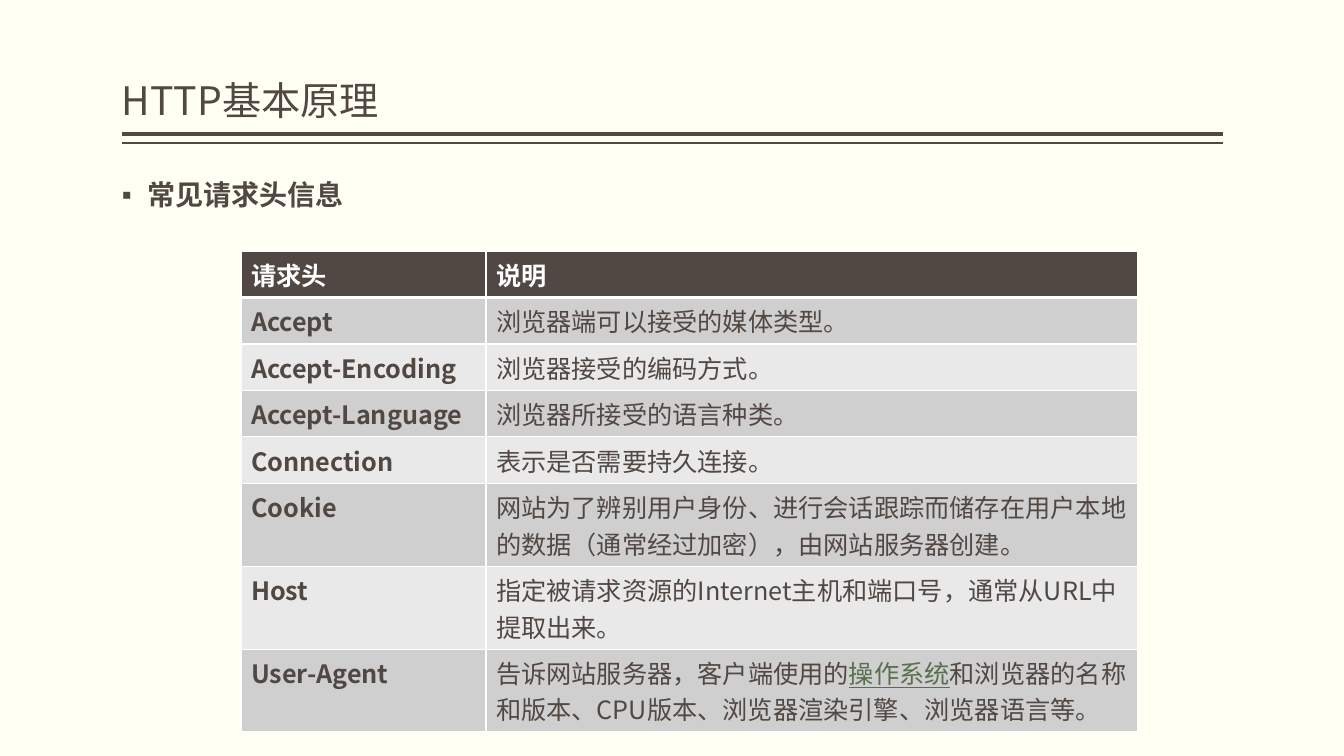
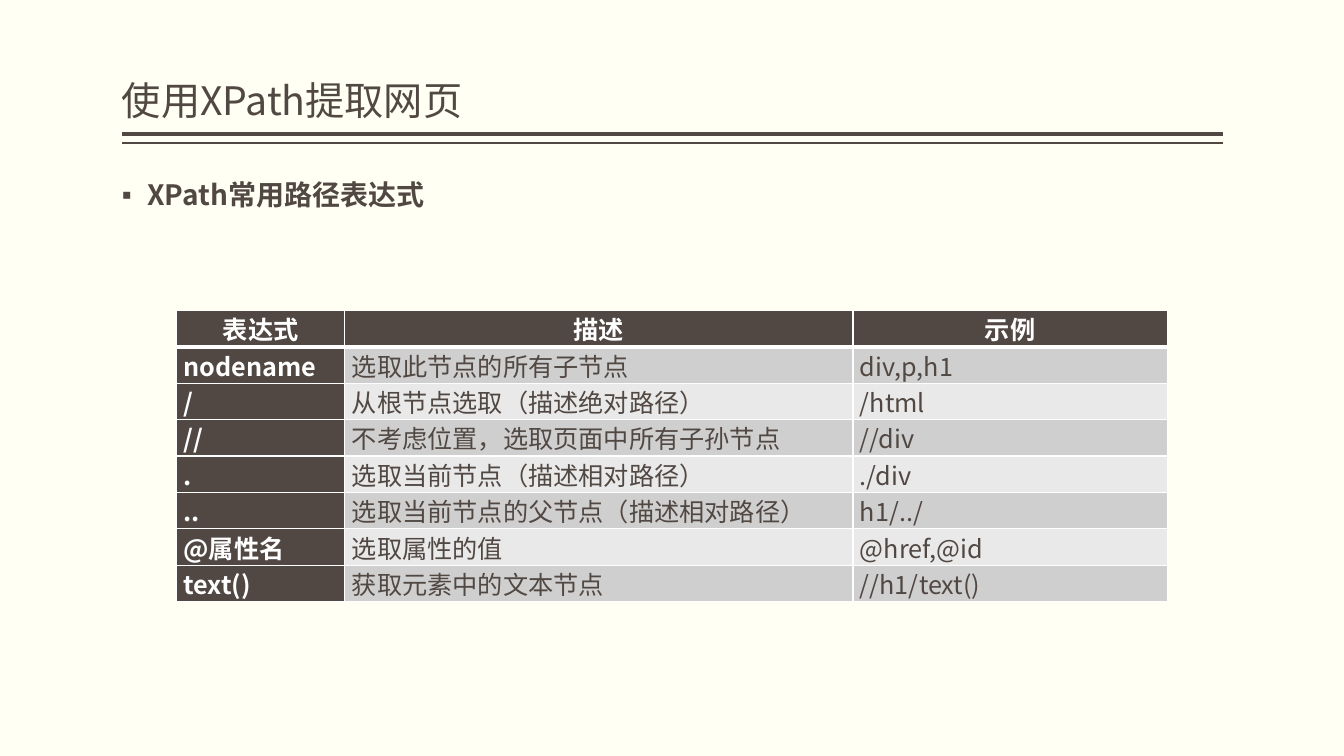
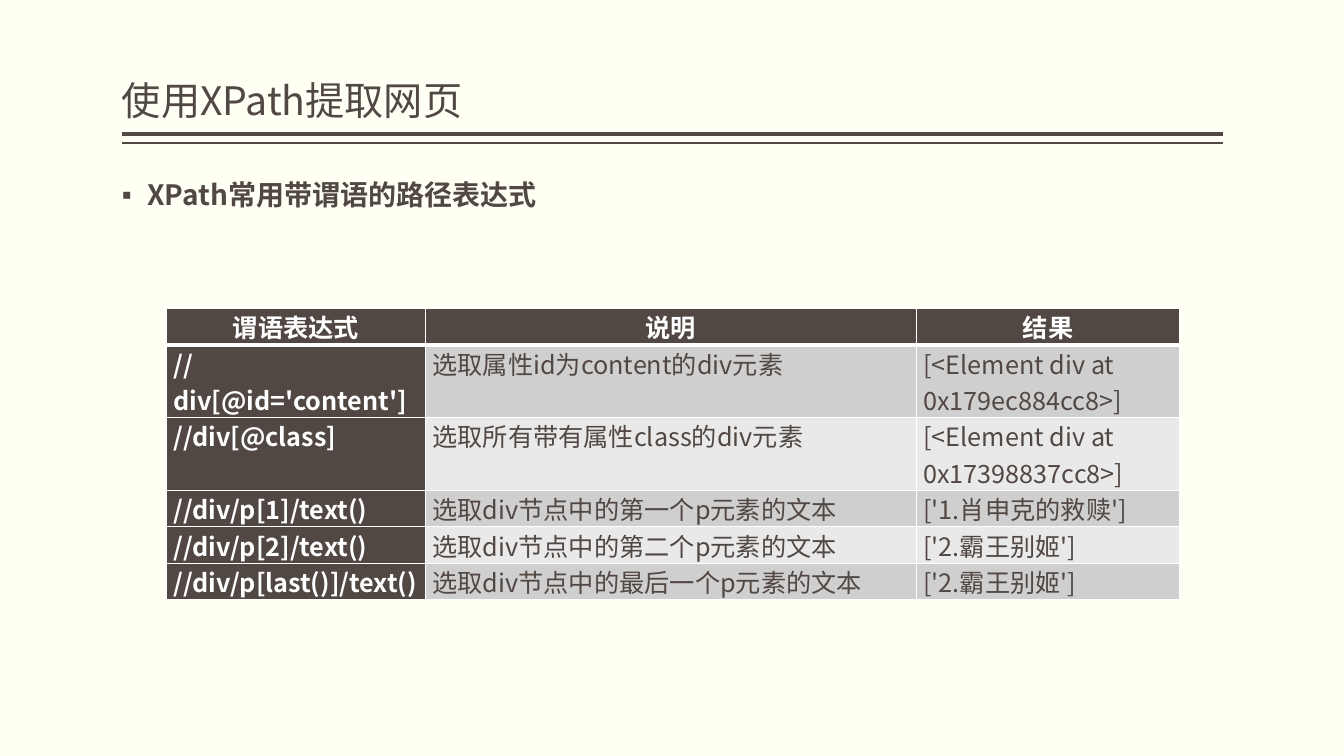
"""Build three slides on HTTP request headers and XPath expressions."""
import pptx
import pptx.dml.color
import pptx.enum.shapes
import pptx.enum.text
import pptx.oxml
import pptx.oxml.ns
import pptx.util
from lxml import etree

Inches = pptx.util.Inches
Pt = pptx.util.Pt
qn = pptx.oxml.ns.qn
FONT = "Noto Sans CJK SC"
BROWN, WHITE, CREAM, GREEN = "514843", "FFFFFF", "FFFFF3", "59704F"
BANDS = ["D0CFCF", "E9E9E9"]
LEFT, RIGHT = 1.21, 12.13
LINE_HEIGHT = 2.89 / 8


def color(value):
    return pptx.dml.color.RGBColor.from_string(value)


def write(paragraph, text, size, ink, bold=False, underline=None):
    run = paragraph.add_run()
    run.text = text
    style = {"name": FONT, "size": Pt(size), "bold": bold, "underline": underline}
    for key, value in style.items():
        setattr(run.font, key, value)
    run.font.color.rgb = color(ink)
    latin = run.font._element.find(qn("a:latin"))
    east_asian = etree.Element(qn("a:ea"), typeface=FONT)
    latin.addnext(east_asian)


topics = [
    {
        "title": "HTTP基本原理",
        "heading": "常见请求头信息",
        "at": (2.39, 2.49),
        "columns": [2.43, 6.46],
        "two_line_rows": [5, 6, 7],
        "margins": (0.1, 0.05),
        "header_align": pptx.enum.text.PP_ALIGN.LEFT,
        "dark_first_column": False,
        "rows": [
            ["请求头", "说明"],
            ["Accept", "浏览器端可以接受的媒体类型。"],
            ["Accept-Encoding", "浏览器接受的编码方式。"],
            ["Accept-Language", "浏览器所接受的语言种类。"],
            ["Connection", "表示是否需要持久连接。"],
            ["Cookie", "网站为了辨别用户身份、进行会话跟踪而储存在用户本地的数据（通常经过加密），由网站服务器创建。"],
            ["Host", "指定被请求资源的Internet主机和端口号，通常从URL中提取出来。"],
            ["User-Agent", "告诉网站服务器，客户端使用的操作系统和浏览器的名称和版本、CPU版本、浏览器渲染引擎、浏览器语言等。"],
        ],
    },
    {
        "title": "使用XPath提取网页",
        "heading": "XPath常用路径表达式",
        "at": (1.75, 3.08),
        "columns": [1.67, 5.04, 3.12],
        "two_line_rows": [],
        "margins": (0.07, 0),
        "header_align": pptx.enum.text.PP_ALIGN.CENTER,
        "dark_first_column": True,
        "rows": [
            ["表达式", "描述", "示例"],
            ["nodename", "选取此节点的所有子节点", "div,p,h1"],
            ["/", "从根节点选取（描述绝对路径）", "/html"],
            ["//", "不考虑位置，选取页面中所有子孙节点", "//div"],
            [".", "选取当前节点（描述相对路径）", "./div"],
            ["..", "选取当前节点的父节点（描述相对路径）", "h1/../"],
            ["@属性名", "选取属性的值", "@href,@id"],
            ["text()", "获取元素中的文本节点", "//h1/text()"],
        ],
    },
    {
        "title": "使用XPath提取网页",
        "heading": "XPath常用带谓语的路径表达式",
        "at": (1.65, 3.06),
        "columns": [2.57, 4.87, 2.61],
        "two_line_rows": [1, 2],
        "margins": (0.07, 0),
        "header_align": pptx.enum.text.PP_ALIGN.CENTER,
        "dark_first_column": True,
        "rows": [
            ["谓语表达式", "说明", "结果"],
            ["//div[@id='content']", "选取属性id为content的div元素", "[<Element div at 0x179ec884cc8>]"],
            ["//div[@class]", "选取所有带有属性class的div元素", "[<Element div at 0x17398837cc8>]"],
            ["//div/p[1]/text()", "选取div节点中的第一个p元素的文本", "['1.肖申克的救赎']"],
            ["//div/p[2]/text()", "选取div节点中的第二个p元素的文本", "['2.霸王别姬']"],
            ["//div/p[last()]/text()", "选取div节点中的最后一个p元素的文本", "['2.霸王别姬']"],
        ],
    },
]
LINKED_TERM = "操作系统"

prs = pptx.Presentation()
prs.slide_width, prs.slide_height = Inches(13.33), Inches(7.5)
master_fill = prs.slide_master.background.fill
master_fill.solid()
master_fill.fore_color.rgb = color(CREAM)

for topic in topics:
    slide = prs.slides.add_slide(prs.slide_layouts[6])

    for y, weight in [(1.33, 3), (1.42, 1)]:
        rule = slide.shapes.add_connector(
            pptx.enum.shapes.MSO_CONNECTOR.STRAIGHT,
            Inches(RIGHT), Inches(y), Inches(LEFT), Inches(y))
        rule.line.color.rgb = color(BROWN)
        rule.line.width = Pt(weight)
        etree.SubElement(rule._element.spPr, qn("a:effectLst"))

    anchors = pptx.enum.text.MSO_ANCHOR
    for text, top, height, anchor, size in [
        (topic["title"], 0.08, 1.2, anchors.BOTTOM, 28),
        (topic["heading"], 1.75, 0.84, anchors.TOP, 20),
    ]:
        box = slide.shapes.add_textbox(Inches(LEFT), Inches(top), Inches(RIGHT - LEFT), Inches(height))
        frame_style = {
            "word_wrap": True, "vertical_anchor": anchor,
            "margin_left": 0, "margin_right": 0,
            "margin_top": Inches(0.05), "margin_bottom": Inches(0.05),
        }
        for key, value in frame_style.items():
            setattr(box.text_frame, key, value)
        paragraph = box.text_frame.paragraphs[0]
        paragraph.line_spacing = 0.9
        is_heading = text == topic["heading"]
        if is_heading:
            paragraph.space_before = Pt(18)
            properties = paragraph._p.get_or_add_pPr()
            properties.set("marL", str(Inches(0.25)))
            properties.set("indent", str(-Inches(0.25)))
            etree.SubElement(properties, qn("a:buFont"), typeface="Arial")
            etree.SubElement(properties, qn("a:buChar"), char="▪")
        write(paragraph, text, size, BROWN, bold=is_heading)

    rows, columns = topic["rows"], topic["columns"]
    left, top = topic["at"]
    side, edge = topic["margins"]
    heights = [
        LINE_HEIGHT * (2 if r in topic["two_line_rows"] else 1) + 2 * edge
        for r in range(len(rows))
    ]
    grid = slide.shapes.add_table(
        len(rows), len(columns), Inches(left), Inches(top),
        Inches(sum(columns)), Inches(sum(heights))).table
    for column, width in zip(grid.columns, columns):
        column.width = Inches(width)

    for r, row in enumerate(rows):
        grid.rows[r].height = Inches(heights[r])
        for c, text in enumerate(row):
            cell = grid.cell(r, c)
            cell_style = {
                "margin_left": Inches(side), "margin_right": Inches(side),
                "margin_top": Inches(edge), "margin_bottom": Inches(edge),
            }
            for key, value in cell_style.items():
                setattr(cell, key, value)
            for border in ["lnL", "lnR", "lnT", "lnB"]:
                thick = (r == 0 and border == "lnB") or (r == 1 and border == "lnT")
                line = etree.SubElement(
                    cell._tc.get_or_add_tcPr(), qn("a:" + border), w=str(Pt(3 if thick else 1)))
                paint = etree.SubElement(line, qn("a:solidFill"))
                etree.SubElement(paint, qn("a:srgbClr"), val=WHITE)
            dark = r == 0 or (c == 0 and topic["dark_first_column"])
            cell.fill.solid()
            cell.fill.fore_color.rgb = color(BROWN if dark else BANDS[(r - 1) % 2])

            paragraph = cell.text_frame.paragraphs[0]
            if r == 0:
                paragraph.alignment = topic["header_align"]
            ink, bold = WHITE if dark else BROWN, r == 0 or c == 0
            before, term, after = text.partition(LINKED_TERM)
            write(paragraph, before, 18, ink, bold)
            if term:
                write(paragraph, term, 18, GREEN, bold, underline=True)
                write(paragraph, after, 18, ink, bold)

prs.save("out.pptx")
